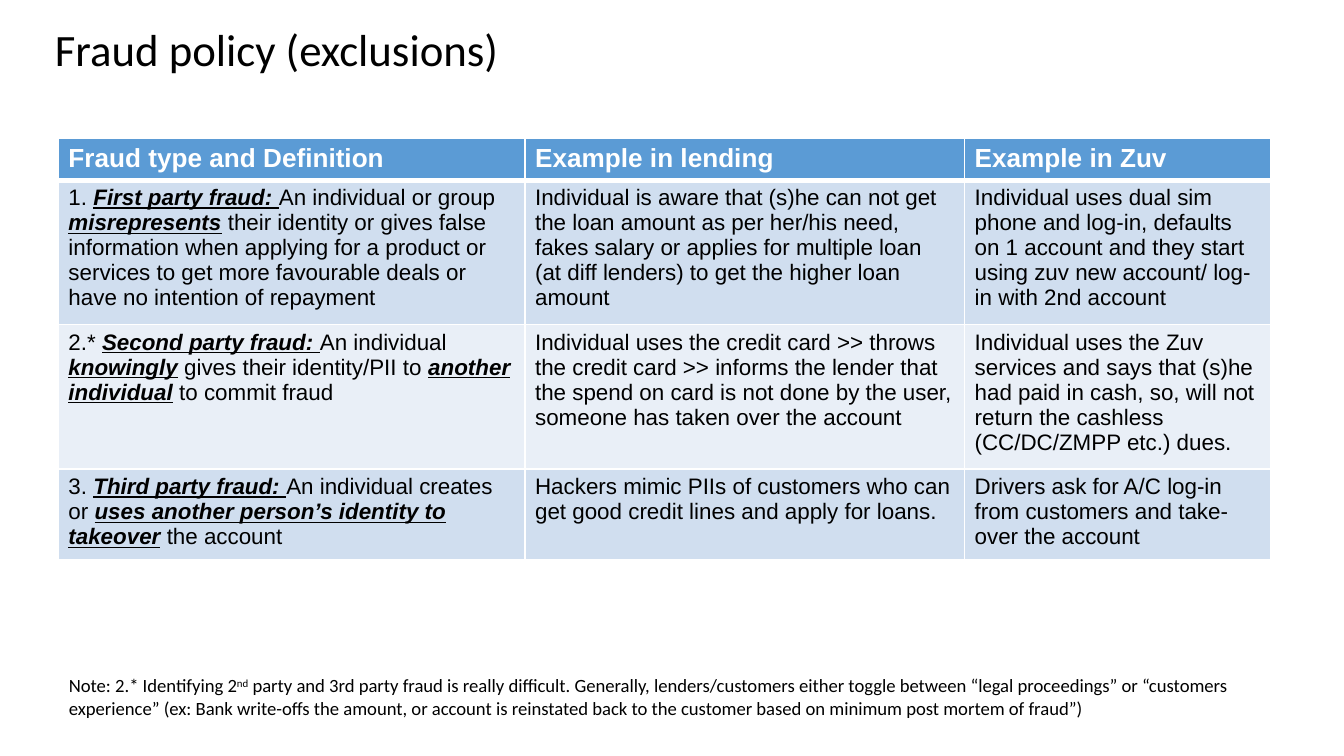
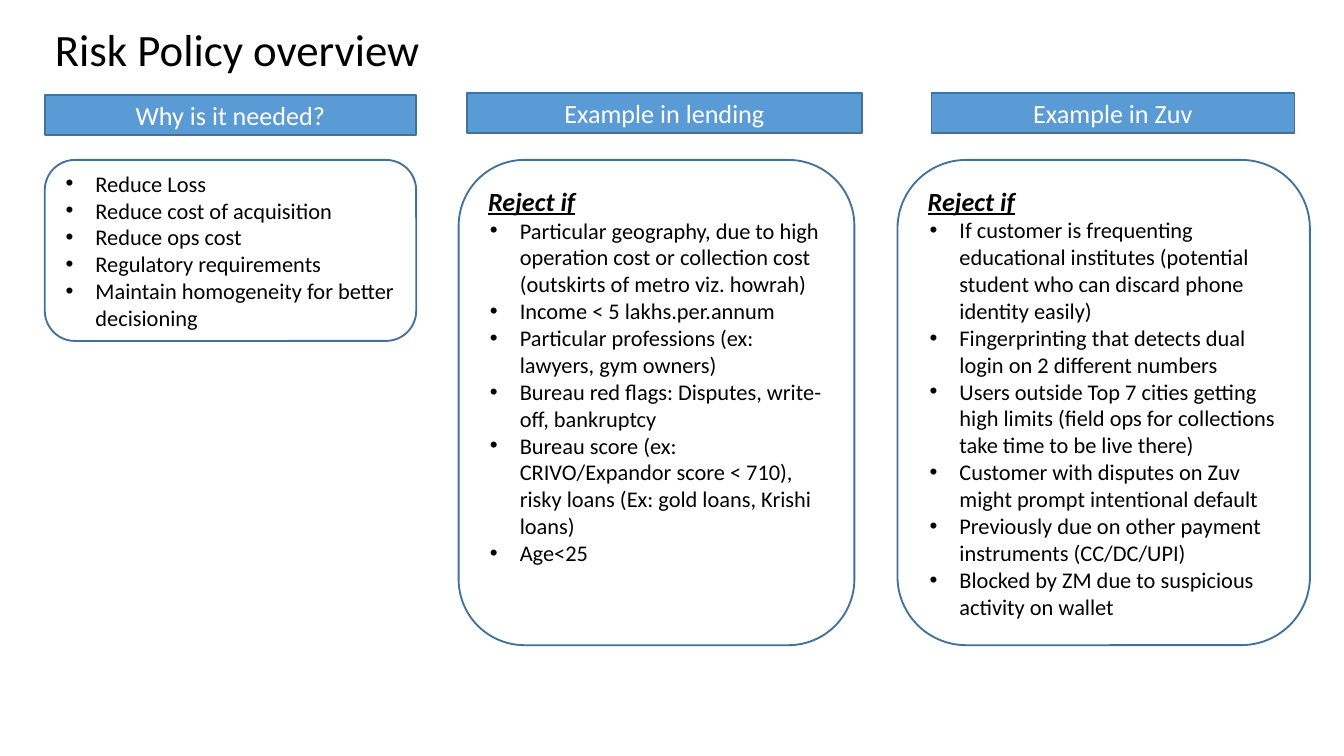
"""Build two slides on fraud and risk policy."""
import pptx
import pptx.dml.color
import pptx.enum.shapes
import pptx.enum.text
import pptx.oxml.ns
import pptx.util
from lxml import etree

Pt = pptx.util.Pt
qn = pptx.oxml.ns.qn
SHAPE = pptx.enum.shapes.MSO_SHAPE
ANCHOR = pptx.enum.text.MSO_ANCHOR
ALIGN = pptx.enum.text.PP_ALIGN
BLUE, OUTLINE, WHITE, BLACK = "5B9BD5", "42719B", "FFFFFF", "000000"
BANDS = ["D0DEEF", "E9EFF7"]


def color(value):
    """Turn a hex string into a colour."""
    return pptx.dml.color.RGBColor.from_string(value)


def write(box, text, size=12, font="Calibri", fill=BLACK, bold=False, align=ALIGN.LEFT,
          anchor=ANCHOR.TOP, spacing=None, bullet=False, mark="strong", bottom=2.7):
    """Add a paragraph to a shape or cell; text between bars gets the mark."""
    tf = box.text_frame
    holder = box if hasattr(box, "margin_left") else tf
    holder.margin_left = holder.margin_right = Pt(5.4)
    holder.margin_top, holder.margin_bottom = Pt(2.7), Pt(bottom)
    holder.vertical_anchor = anchor
    tf.word_wrap = True
    p = tf.add_paragraph() if tf.text else tf.paragraphs[0]
    p.alignment = align
    if spacing:
        p.line_spacing = spacing
    if bullet:
        pPr = p._p.get_or_add_pPr()
        pPr.set("marL", str(Pt(17)))
        pPr.set("indent", str(-Pt(16)))
        buClr = etree.SubElement(pPr, qn("a:buClr"))
        etree.SubElement(buClr, qn("a:srgbClr"), val=fill)
        etree.SubElement(pPr, qn("a:buFont"), typeface="Arial")
        etree.SubElement(pPr, qn("a:buChar"), char="•")
    for i, part in enumerate(text.split("|")):
        if not part:
            continue
        r = p.add_run()
        r.text = part
        r.font.size, r.font.name, r.font.bold = Pt(size), font, bold
        r.font.color.rgb = color(fill)
        if i % 2 and mark == "strong":
            r.font.bold = r.font.italic = r.font.underline = True
        elif i % 2:
            r._r.get_or_add_rPr().set("baseline", "30000")


prs = pptx.Presentation()
prs.slide_width, prs.slide_height = Pt(720), Pt(405)
slides = []
for title in ["Fraud policy (exclusions)", "Risk Policy overview"]:
    s = prs.slides.add_slide(prs.slide_layouts[6])
    sp = s.shapes.add_textbox(Pt(24), Pt(4.5), Pt(620.5), Pt(46.5))
    write(sp, title, size=24, anchor=ANCHOR.MIDDLE, spacing=0.9)
    slides.append(s)
fraud, risk = slides

rows = [
    ["Fraud type and Definition", "Example in lending", "Example in Zuv"],
    ["1. |First party fraud: |An individual or group |misrepresents| their identity or gives "
     "false information when applying for a product or services to get more favourable deals "
     "or have no intention of repayment",
     "Individual is aware that (s)he can not get the loan amount as per her/his need, fakes "
     "salary or applies for multiple loan (at diff lenders) to get the higher loan amount",
     "Individual uses dual sim phone and log-in, defaults on 1 account and they start using "
     "zuv new account/ log-in with 2nd account"],
    ["2.* |Second party fraud: |An individual |knowingly| gives their identity/PII to "
     "|another individual| to commit fraud",
     "Individual uses the credit card >> throws the credit card >> informs the lender that "
     "the spend on card is not done by the user, someone has taken over the account",
     "Individual uses the Zuv services and says that (s)he had paid in cash, so, will not "
     "return the cashless (CC/DC/ZMPP etc.) dues."],
    ["3. |Third party fraud: |An individual creates or |uses another person’s identity to "
     "takeover| the account",
     "Hackers mimic PIIs of customers who can get good credit lines and apply for loans.",
     "Drivers ask for A/C log-in from customers and take-over the account"],
]
widths, heights = [250, 235.5, 164], [21.6, 72.3, 72.3, 46]
table = fraud.shapes.add_table(len(rows), len(widths), Pt(31.3), Pt(74.3),
                               Pt(sum(widths)), Pt(sum(heights))).table
for column, width in zip(table.columns, widths):
    column.width = Pt(width)
for i, texts in enumerate(rows):
    table.rows[i].height = Pt(heights[i])
    for j, text in enumerate(texts):
        cell = table.cell(i, j)
        head = i == 0
        write(cell, text, size=14 if head else 12, font="Arial",
              fill=WHITE if head else BLACK, bold=head)
        tcPr = cell._tc.get_or_add_tcPr()
        for side in "LRTB":
            thick = (head and side == "B") or (i == 1 and side == "T")
            ln = etree.SubElement(tcPr, qn("a:ln" + side), w=str(Pt(3 if thick else 1)))
            solid = etree.SubElement(ln, qn("a:solidFill"))
            etree.SubElement(solid, qn("a:srgbClr"), val=WHITE)
        cell.fill.solid()
        cell.fill.fore_color.rgb = color(BLUE if head else BANDS[(i - 1) % 2])

sp = fraud.shapes.add_textbox(Pt(31.5), Pt(358.5), Pt(658), Pt(38))
write(sp, "Note: 2.* Identifying 2|nd| party and 3rd party fraud is really difficult. Generally, "
      "lenders/customers either toggle between “legal proceedings” or “customers experience” "
      "(ex: Bank write-offs the amount, or account is reinstated back to the customer based on "
      "minimum post mortem of fraud”)", size=10, mark="super")

columns = [
    ("Why is it needed?", (24, 51, 199), (24, 199, 97), ANCHOR.MIDDLE, 2.7, None,
     ["Reduce Loss", "Reduce cost of acquisition", "Reduce ops cost",
      "Regulatory requirements", "Maintain homogeneity for better decisioning"]),
    ("Example in lending", (250, 50, 212), (245.7, 212, 260), ANCHOR.MIDDLE, 31.5, "|Reject if|",
     ["Particular geography, due to high operation cost or collection cost "
      "(outskirts of metro viz. howrah)",
      "Income < 5 lakhs.per.annum",
      "Particular professions (ex: lawyers, gym owners)",
      "Bureau red flags: Disputes, write-off, bankruptcy",
      "Bureau score (ex: CRIVO/Expandor score < 710), risky loans (Ex: gold loans, Krishi loans)",
      "Age<25"]),
    ("Example in Zuv", (499, 50, 194.5), (480.8, 221, 260), ANCHOR.TOP, 2.7, "|Reject if|",
     ["If customer is frequenting educational institutes (potential student who can discard "
      "phone identity easily)",
      "Fingerprinting that detects dual login on 2 different numbers",
      "Users outside Top 7 cities getting high limits (field ops for collections take time to "
      "be live there)",
      "Customer with disputes on Zuv might prompt intentional default",
      "Previously due on other payment instruments (CC/DC/UPI)",
      "Blocked by ZM due to suspicious activity on wallet"]),
]
for heading, (hx, hy, hw), (px, pw, ph), anchor, bottom, lead, items in columns:
    header = risk.shapes.add_shape(SHAPE.RECTANGLE, Pt(hx), Pt(hy), Pt(hw), Pt(21.5))
    panel = risk.shapes.add_shape(SHAPE.ROUNDED_RECTANGLE, Pt(px), Pt(85.7), Pt(pw), Pt(ph))
    for sp in (header, panel):
        sp.shadow.inherit = False
        sp.line.color.rgb = color(OUTLINE)
        sp.line.width = Pt(1)
    header.fill.solid()
    header.fill.fore_color.rgb = color(BLUE)
    panel.fill.background()
    write(header, heading, size=14, fill=WHITE, align=ALIGN.CENTER, anchor=ANCHOR.MIDDLE)
    if lead:
        write(panel, lead, size=14, anchor=anchor, bottom=bottom)
    for item in items:
        write(panel, item, bullet=True, anchor=anchor, bottom=bottom)

prs.save("out.pptx")
